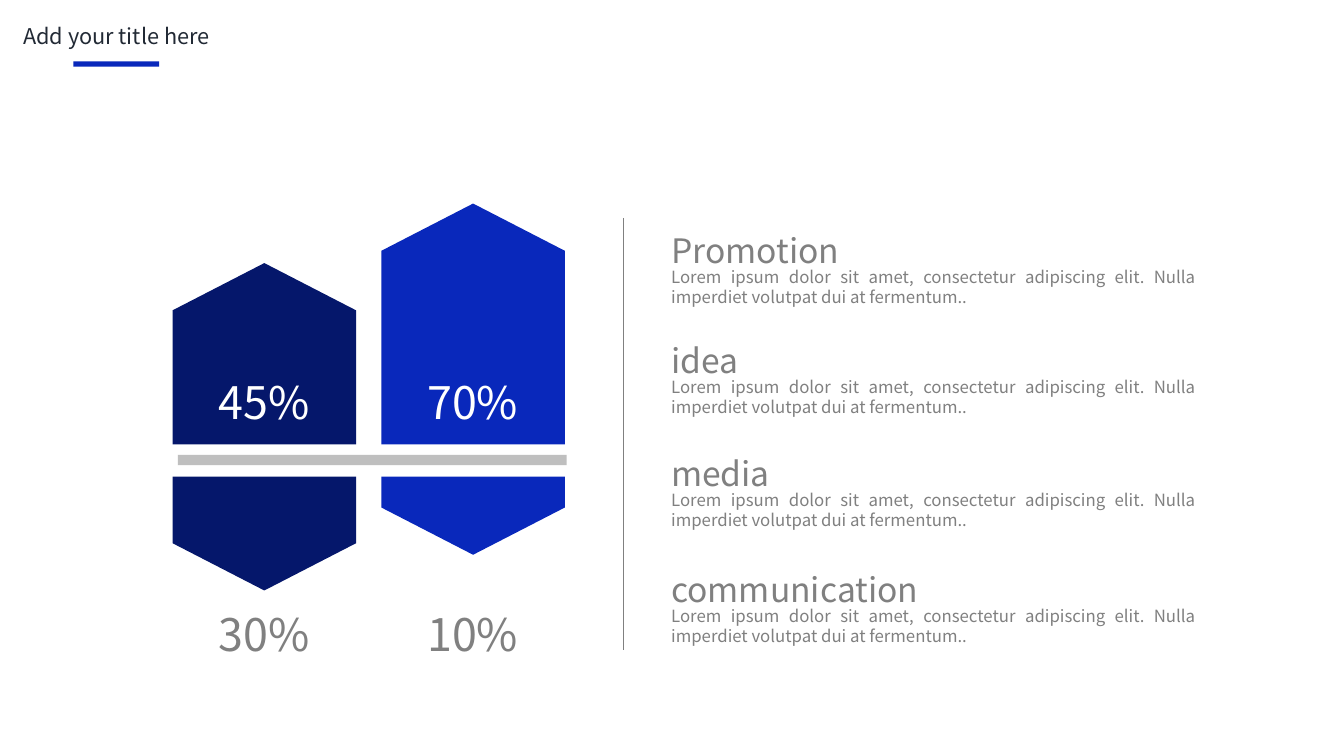
from lxml import etree
from pptx import Presentation
from pptx.dml.color import RGBColor
from pptx.enum.shapes import MSO_CONNECTOR, MSO_SHAPE
from pptx.enum.text import MSO_ANCHOR, MSO_AUTO_SIZE, PP_ALIGN
from pptx.oxml.ns import qn
from pptx.util import Cm, Pt

FONT = "Noto Sans CJK SC"
NAVY, BLUE, GREY, SILVER = "05176B", "0928BB", "808080", "BFBFBF"
WHITE, INK = "FFFFFF", "222A35"
RECTANGLE = MSO_SHAPE.RECTANGLE
STRAIGHT = MSO_CONNECTOR.STRAIGHT
TOP = MSO_ANCHOR.TOP
FIXED = MSO_AUTO_SIZE.NONE
LEFT, CENTER, JUSTIFY = PP_ALIGN.LEFT, PP_ALIGN.CENTER, PP_ALIGN.JUSTIFY

COLUMNS = [("45%", 4.57, "30%", 2.87, NAVY), ("70%", 6.07, "10%", 1.97, BLUE)]
TOPICS = [("Promotion", 0, 4.85), ("idea", 2.77, 2.24),
          ("media", 5.62, 3.05), ("communication", 8.54, 6.88)]
DESCRIPTION = ("Lorem ipsum dolor sit amet, consectetur adipiscing elit. "
               "Nulla imperdiet volutpat dui at fermentum..")


def rgb(value):
    return RGBColor.from_string(value)


def paint(shape, color):
    shape.shadow.inherit = False
    shape.fill.solid()
    shape.fill.fore_color.rgb = rgb(color)
    shape.line.fill.background()


def add_bar(slide, left, top, width, height, color):
    bar = slide.shapes.add_shape(RECTANGLE, Cm(left), Cm(top), Cm(width), Cm(height))
    paint(bar, color)


def write(frame, text, size, color, align, wrap=True):
    frame.word_wrap = wrap
    frame.auto_size = FIXED
    frame.vertical_anchor = TOP
    frame.text = text
    paragraph = frame.paragraphs[0]
    paragraph.alignment = align
    font = paragraph.runs[0].font
    font.name = FONT
    font.size = Pt(size)
    font.color.rgb = rgb(color)


def add_text(slide, left, top, width, height, text, size, color, align, wrap=True):
    box = slide.shapes.add_textbox(Cm(left), Cm(top), Cm(width), Cm(height))
    write(box.text_frame, text, size, color, align, wrap)


def add_header(slide, left, top, width, height):
    title = slide.shapes.title
    title.left, title.top = Cm(left), Cm(top)
    title.width, title.height = Cm(width), Cm(height)
    frame = title.text_frame
    write(frame, "Add your title here", 15.5, INK, CENTER, False)
    frame.margin_left = frame.margin_right = Cm(0.3)
    frame.margin_top = frame.margin_bottom = Cm(0.15)
    frame.paragraphs[0].line_spacing = 1.2
    add_bar(slide, left + 1.7, top + 1.25, 2.16, 0.13, BLUE)


def add_pointed_block(slide, left, base, width, height, color):
    tip = 1.19 if height > 0 else -1.19
    right, shoulder = left + width, base - height + tip
    outline = slide.shapes.build_freeform(Cm(left), Cm(base))
    corners = [(right, base), (right, shoulder),
               (left + width / 2, base - height), (left, shoulder)]
    outline.add_line_segments([(Cm(x), Cm(y)) for x, y in corners], close=True)
    paint(outline.convert_to_shape(), color)


def add_hexagon_chart(slide, left, axis_top, column_width, pitch):
    for index, (upper, rise, lower, drop, color) in enumerate(COLUMNS):
        x = left + index * pitch
        add_pointed_block(slide, x, axis_top - 0.26, column_width, rise, color)
        add_pointed_block(slide, x, axis_top + 0.55, column_width, -drop, color)
        for text, offset, shade in [(upper, -2.14, WHITE), (lower, 3.7, GREY)]:
            add_text(slide, x - 0.15, axis_top + offset, 4.9, 1.63,
                     text, 32, shade, CENTER)
    add_bar(slide, left + 0.13, axis_top, 9.8, 0.26, SILVER)


def add_topics(slide, left, top, width):
    for heading, offset, heading_width in TOPICS:
        add_text(slide, left, top + offset, heading_width, 1.27,
                 heading, 24, GREY, LEFT, False)
        add_text(slide, left, top + offset + 0.93, width, 1.29,
                 DESCRIPTION, 12, GREY, JUSTIFY)


def add_divider(slide, x, top, height):
    divider = slide.shapes.add_connector(STRAIGHT, Cm(x), Cm(top), Cm(x), Cm(top + height))
    divider.line.color.rgb = rgb(GREY)
    divider.line.width = Pt(0.5)
    etree.SubElement(divider._element.spPr, qn("a:effectLst"))


def main():
    deck = Presentation()
    deck.slide_width, deck.slide_height = Cm(33.86), Cm(19.05)
    slide = deck.slides.add_slide(deck.slide_layouts[5])
    add_header(slide, 0.15, 0.3, 5.56, 1.04)
    add_hexagon_chart(slide, 4.35, 11.46, 4.62, 5.26)
    add_topics(slide, 16.66, 5.66, 13.72)
    add_divider(slide, 15.7, 5.49, 10.9)
    deck.save("out.pptx")


if __name__ == "__main__":
    main()
